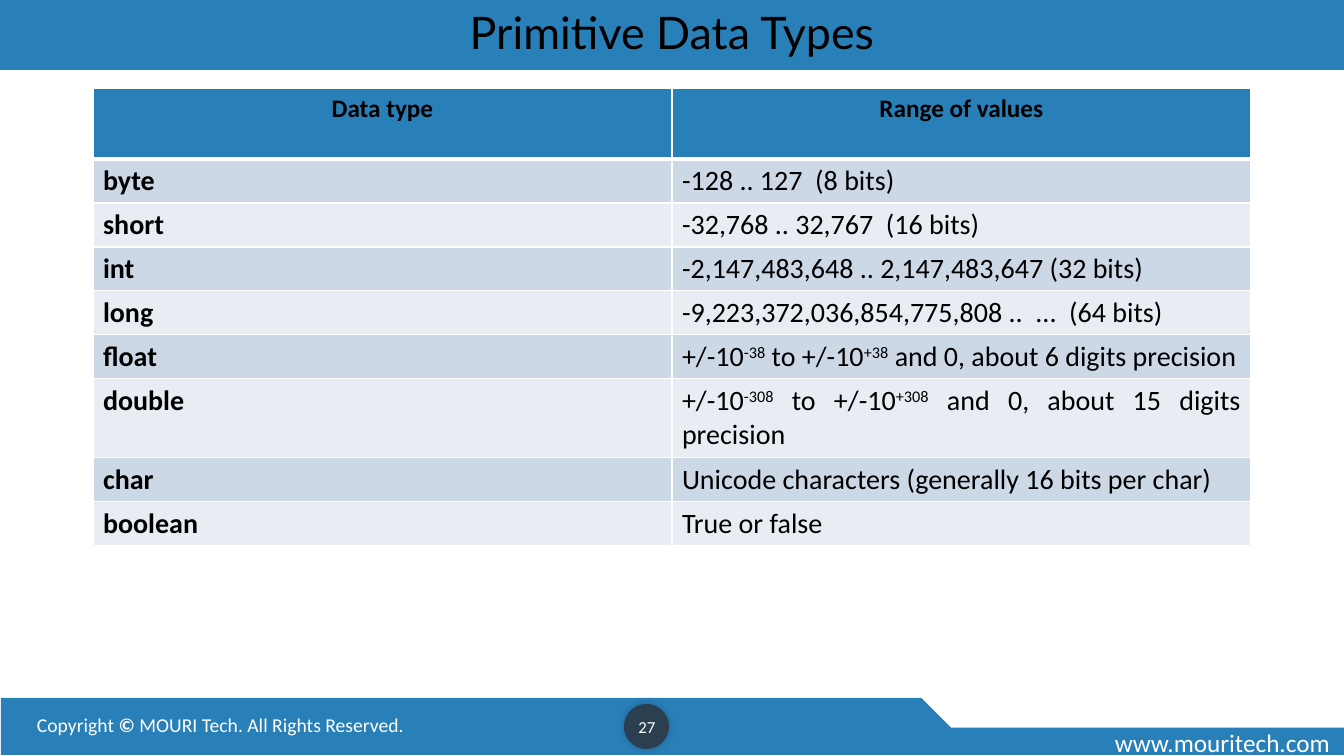
from lxml import etree
from pptx import Presentation
from pptx.dml.color import RGBColor
from pptx.enum.shapes import MSO_SHAPE
from pptx.enum.text import MSO_ANCHOR, MSO_AUTO_SIZE, PP_ALIGN
from pptx.oxml.ns import qn
from pptx.util import Pt

RECT, SNIP, OVAL = MSO_SHAPE.RECTANGLE, MSO_SHAPE.SNIP_2_DIAG_RECTANGLE, MSO_SHAPE.OVAL
LEFT, CENTER, JUSTIFY = PP_ALIGN.LEFT, PP_ALIGN.CENTER, PP_ALIGN.JUSTIFY
TOP, MIDDLE = MSO_ANCHOR.TOP, MSO_ANCHOR.MIDDLE

COLORS = {"blue": "2980B9", "navy": "2C3F50", "white": "FFFFFF", "black": "000000",
          "odd": "CDD8E6", "even": "E8EDF3"}
TITLE = "Primitive Data Types"
HEADINGS = ("Data type", "Range of values")
TYPES = [
    ("byte", "-128 .. 127  (8 bits)"),
    ("short", "-32,768 .. 32,767  (16 bits)"),
    ("int", "-2,147,483,648 .. 2,147,483,647 (32 bits)"),
    ("long", "-9,223,372,036,854,775,808 ..  ...  (64 bits)"),
    ("float", "+/-10^-38^ to +/-10^+38^ and 0, about 6 digits precision"),
    ("double", "+/-10^-308^ to +/-10^+308^ and 0, about 15 digits precision"),
    ("char", "Unicode characters (generally 16 bits per char)"),
    ("boolean", "True or false"),
]
COPYRIGHT = [("Copyright\u00a0", False), ("©\u00a0", True),
             ("MOURI Tech. All Rights Reserved.", False)]
WEBSITE = [("www.mouritech.com", False)]
PAGE = [("27", False)]
HEADER_HEIGHT, ROW_HEIGHT, TWO_LINE_HEIGHT = 71, 44, 79
TWO_LINE_TYPES = {"double"}


def px(*lengths):
    return [round(length * 914400 / 100.8) for length in lengths]


def rgb(name):
    return RGBColor.from_string(COLORS[name])


def style(run, size, color, bold=False, face="Calibri"):
    run.font.size, run.font.bold, run.font.name = Pt(size), bold, face
    run.font.color.rgb = rgb(color)


def paint(shape, color):
    shape.fill.solid()
    shape.fill.fore_color.rgb = rgb(color)


def add_block(preset, box, color):
    block = slide.shapes.add_shape(preset, *px(*box))
    paint(block, color)
    block.line.fill.background()
    block.shadow.inherit = False
    return block


def add_label(parts, box, size, align=LEFT, anchor=TOP):
    frame = slide.shapes.add_textbox(*px(*box)).text_frame
    frame.word_wrap = True
    frame.vertical_anchor = anchor
    frame.paragraphs[0].alignment = align
    for text, bold in parts:
        run = frame.paragraphs[0].add_run()
        run.text = text
        style(run, size, "white", bold)


def add_borders(cell, widths):
    props = cell._tc.get_or_add_tcPr()
    for side, width in zip("LRTB", widths):
        line = etree.SubElement(props, qn(f"a:ln{side}"), w=str(Pt(width)))
        fill = etree.SubElement(line, qn("a:solidFill"))
        etree.SubElement(fill, qn("a:srgbClr"), val=COLORS["white"])


def fill_cell(cell, text, size, bold, align, color, widths):
    add_borders(cell, widths)
    paint(cell, color)
    paragraph = cell.text_frame.paragraphs[0]
    paragraph.alignment = align
    for index, part in enumerate(text.split("^")):
        run = paragraph.add_run()
        run.text = part
        style(run, size, "black", bold)
        if index % 2:
            run._r.get_or_add_rPr().set("baseline", "30000")


prs = Presentation()
prs.slide_width, prs.slide_height = px(1344, 756)
slide = prs.slides.add_slide(prs.slide_layouts[5])

title = slide.shapes.title
title.left, title.top, title.width, title.height = px(0, 0, 1344, 70)
paint(title, "blue")
heading = title.text_frame
heading.text = TITLE
heading.auto_size = MSO_AUTO_SIZE.NONE
heading.vertical_anchor = MIDDLE
heading.paragraphs[0].alignment = CENTER
heading.paragraphs[0].line_spacing = 0.9
style(heading.paragraphs[0].runs[0], 32, "black", face="Lato")

add_block(RECT, (1, 698, 1343, 57), "blue")
notch = add_block(SNIP, (899, 622, 445, 105), "white")
notch.adjustments[0], notch.adjustments[1] = 0, 0.5
notch.line.color.rgb = rgb("white")
notch.line.width = Pt(1)
add_label(WEBSITE, (1105, 722, 240, 40), 18)
add_label(COPYRIGHT, (27, 708, 723, 34), 14)

badge = add_block(OVAL, (624, 704, 45, 45), "navy")
effects = badge._element.spPr.find(qn("a:effectLst"))
shadow = etree.SubElement(effects, qn("a:outerShdw"), blurRad=str(Pt(6)), dist="0",
                          dir="18900000")
shade = etree.SubElement(shadow, qn("a:srgbClr"), val=COLORS["black"])
etree.SubElement(shade, qn("a:alpha"), val="20000")

heights = [HEADER_HEIGHT] + [TWO_LINE_HEIGHT if name in TWO_LINE_TYPES else ROW_HEIGHT
                             for name, _ in TYPES]
table = slide.shapes.add_table(len(heights), 2, *px(93, 88, 1158, sum(heights))).table
for row, height in zip(table.rows, px(*heights)):
    row.height = height
for column in table.columns:
    column.width = px(579)[0]
for col, text in enumerate(HEADINGS):
    fill_cell(table.cell(0, col), text, 18, True, CENTER, "blue", (1, 1, 1, 3))
for row, entry in enumerate(TYPES, 1):
    band = "odd" if row % 2 else "even"
    widths = (1, 1, 3 if row == 1 else 1, 1)
    for col, text in enumerate(entry):
        fill_cell(table.cell(row, col), text, 20, col == 0, JUSTIFY, band, widths)

add_label(PAGE, (626, 707, 42, 40), 12, CENTER, MIDDLE)

prs.save("out.pptx")
